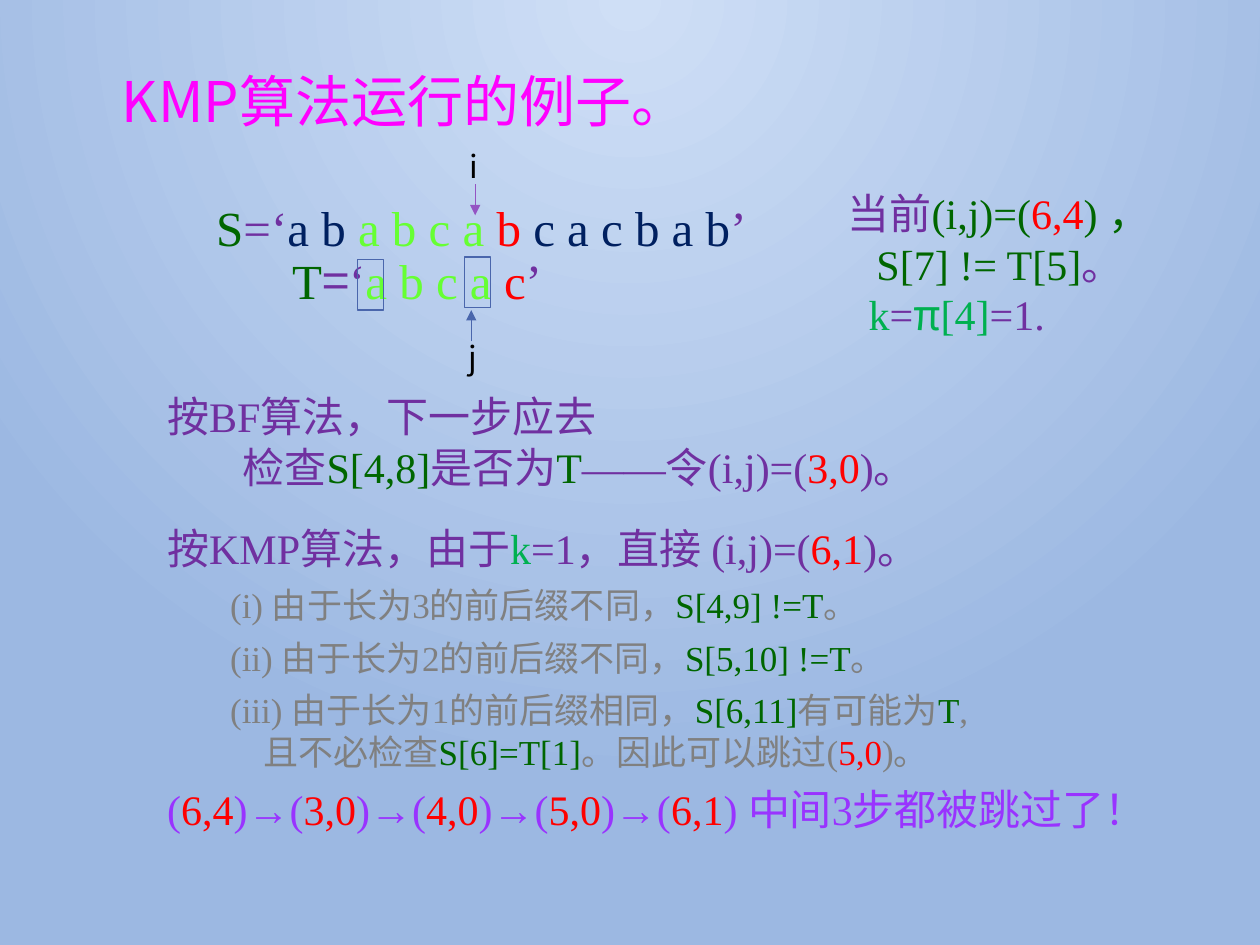
from lxml.etree import SubElement
from pptx import Presentation
from pptx.dml.color import RGBColor
from pptx.enum.shapes import MSO_CONNECTOR, MSO_SHAPE
from pptx.oxml.ns import qn
from pptx.util import Cm, Pt

SERIF, SANS = "Times New Roman", "Noto Sans CJK SC"
PURPLE, GREEN, RED, TEAL = "7030A0", "006600", "FF0000", "00B050"
LIME, NAVY, GRAY, VIOLET = "66FF33", "002060", "808080", "9933FF"
BLUE, ORCHID, MAGENTA, BLACK = "4A66AC", "9454C3", "FF00FF", "000000"


def color(value):
    return RGBColor.from_string(value)


def add_text(left, top, width, height, paragraphs, wrap=True):
    """Each paragraph: size, space before, left margin, first indent, runs.
    A run is (text, colour[, font]); None stands for a line break."""
    box = page.shapes.add_textbox(Cm(left), Cm(top), Cm(width), Cm(height))
    frame = box.text_frame
    frame.word_wrap = wrap
    for index, (size, before, margin, indent, runs) in enumerate(paragraphs):
        para = frame.add_paragraph() if index else frame.paragraphs[0]
        if before:
            para.space_before = Pt(before)
        properties = para._p.get_or_add_pPr()
        properties.set("marL", str(Cm(margin)))
        properties.set("indent", str(Cm(indent)))
        for run in runs:
            if run is None:
                para.add_line_break()
                continue
            span = para.add_run()
            span.text = run[0]
            span.font.size = Pt(size)
            span.font.color.rgb = color(run[1])
            span.font.name = run[2] if len(run) > 2 else SERIF
            SubElement(span._r.rPr, qn("a:ea")).set("typeface", SANS)


deck = Presentation()
deck.slide_width, deck.slide_height = Cm(25.4), Cm(19.05)
page = deck.slides.add_slide(deck.slide_layouts[6])

# Background: radial gradient centred on the top edge
fill = page.background.fill
fill.gradient()
for stop, value in zip(fill.gradient_stops, ("CFDFF6", "9CB8E2")):
    stop.color.rgb = color(value)
gradient = next(page._element.iter(qn("a:gradFill")))
gradient.remove(gradient.find(qn("a:lin")))
radial = SubElement(gradient, qn("a:path"))
radial.set("path", "circle")
focus = SubElement(radial, qn("a:fillToRect"))
for side, value in zip("ltrb", (43000, 0, 43000, 100000)):
    focus.set(side, str(value))

# Explanation of both algorithms
steps = [("(", VIOLET)]
pairs = ["6,4", "3,0", "4,0", "5,0", "6,1"]
for pair in pairs:
    ending = ") 中间3步都被跳过了！" if pair == pairs[-1] else ")→("
    steps += [(pair, RED), (ending, VIOLET)]
add_text(3.12, 7.75, 20.09, 9.27, [
    (24, 0, 1.52, -1.52, [
        ("按BF算法，下一步应去", PURPLE), None, ("检查", PURPLE),
        ("S[4,8]", GREEN), ("是否为", PURPLE), ("T", GREEN),
        ("——令(i,j)=(", PURPLE), ("3,0", RED), (")。", PURPLE)]),
    (24, 18, 0, 0, [
        ("按KMP算法，由于", PURPLE), ("k", TEAL),
        ("=1，直接 (i,j)=(", PURPLE), ("6,1", RED), (")。", PURPLE)]),
    (20, 6, 1.94, -0.67, [
        ("(i) 由于长为3的前后缀不同，", GRAY), ("S[4,9] !=T", GREEN), ("。", GRAY)]),
    (20, 6, 1.94, -0.67, [
        ("(ii) 由于长为2的前后缀不同，", GRAY), ("S[5,10] !=T", GREEN), ("。", GRAY)]),
    (20, 6, 1.94, -0.67, [
        ("(iii) 由于长为1的前后缀相同，", GRAY), ("S[6,11]", GREEN),
        ("有可能为", GRAY), ("T", GREEN), (",", GRAY), None,
        ("且不必检查", GRAY), ("S[6]=T[1]", GREEN),
        ("。因此可以跳过(", GRAY), ("5,0", RED), (")。", GRAY)]),
    (24, 6, 0, 0, steps),
])

# Strings S and T
add_text(4.11, 3.86, 11.63, 1.45, [(28, 0, 0, 0, [
    ("S", GREEN), ("=‘", PURPLE), ("a b ", NAVY), ("a b c a ", LIME),
    ("b ", RED), ("c a c b a b", NAVY), ("’", PURPLE)])])
add_text(5.64, 4.93, 5.61, 1.45, [(28, 0, 0, 0, [
    ("T", GREEN), ("=", PURPLE, SANS), ("‘", PURPLE), ("a b c a ", LIME),
    ("c", RED), ("’", PURPLE)])], wrap=False)

# Index labels and their arrows
add_text(9.22, 2.84, 0.64, 1.02, [(18, 0, 0, 0, [("i", BLACK, SANS)])])
add_text(9.19, 6.68, 0.84, 1.02, [(18, 0, 0, 0, [("j", BLACK, SANS)])])
for x, start, end, value in ((9.58, 3.71, 4.34, ORCHID), (9.5, 6.88, 6.25, BLUE)):
    arrow = page.shapes.add_connector(
        MSO_CONNECTOR.STRAIGHT, Cm(x), Cm(start), Cm(x), Cm(end))
    arrow.line.color.rgb = color(value)
    arrow.line.width = Pt(0.75)
    SubElement(arrow.line._get_or_add_ln(), qn("a:tailEnd")).set("type", "triangle")
    SubElement(arrow._element.spPr, qn("a:effectLst"))

# Frames around the matching prefix and suffix
for left, top in ((7.21, 5.23), (9.37, 5.18)):
    frame_box = page.shapes.add_shape(
        MSO_SHAPE.RECTANGLE, Cm(left), Cm(top), Cm(0.52), Cm(1.02))
    frame_box.shadow.inherit = False
    frame_box.fill.background()
    frame_box.line.color.rgb = color(BLUE)
    frame_box.line.width = Pt(0.75)

# Title
add_text(2.21, 1.22, 21.29, 1.63, [
    (32, 0, 0, 0, [("KMP算法运行的例子。", MAGENTA, SANS)])])

# Current state
add_text(16.84, 3.66, 7.19, 3.33, [
    (24, 0, 0.58, -0.58, [
        ("当前", PURPLE), ("(i,j)=(", GREEN), ("6,4", RED), (") ，", GREEN), None,
        ("S[7] != T[5]", GREEN), ("。", PURPLE)]),
    (24, 0, 0.42, 0, [
        ("k", TEAL), ("=", PURPLE), ("π", TEAL, SANS), ("[4]", TEAL),
        ("=1.", PURPLE)]),
])

deck.save("out.pptx")
